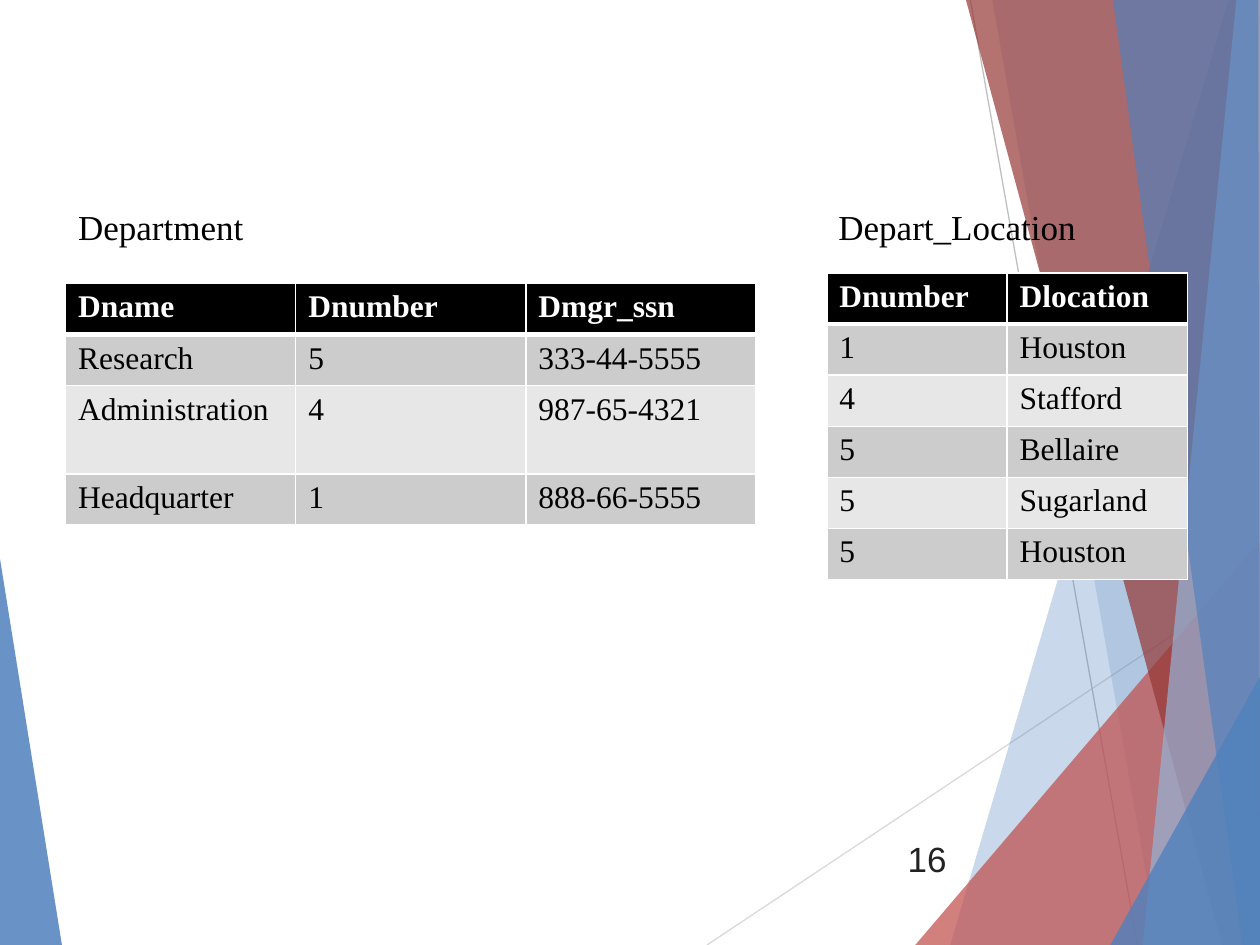
"""Build a slide with two department tables over a faceted backdrop."""
from dataclasses import dataclass

from lxml import etree
from pptx import Presentation
from pptx.dml.color import RGBColor
from pptx.enum import shapes, text
from pptx.oxml.ns import qn
from pptx.util import Pt


@dataclass(frozen=True)
class Theme:
    """Colours, fonts and type sizes of the slide."""
    blue: str = "4F81BD"
    pale_blue: str = "95B3D7"
    red: str = "C0504D"
    dark_red: str = "953735"
    light_line: str = "D9D9D9"
    mid_line: str = "BFBFBF"
    white: str = "FFFFFF"
    black: str = "000000"
    number: str = "222222"
    bands: tuple = ("CCCCCC", "E7E7E7")
    serif: str = "Times New Roman"
    sans: str = "Arial"
    label_size: int = 20
    cell_size: int = 18


THEME = Theme()
ROW_HEIGHT = 29.2

FACETS = [
    (THEME.blue, 30, [(702, 0), (543, 540), (721, 540), (721, 0)]),
    (THEME.blue, 20, [(567, 0), (662, 540), (721, 540), (721, 0)]),
    (THEME.red, 72, [(523, 540), (720, 309), (721, 540)]),
    (THEME.dark_red, 70, [(552, 0), (698.5, 540), (721, 540), (721, 0)]),
    (THEME.pale_blue, 70, [(706.5, 0), (653, 540), (721, 540), (720, 0)]),
    (THEME.blue, 65, [(636, 0), (710, 540), (720, 540), (719, 0)]),
    (THEME.blue, 80, [(634.5, 540), (721, 385), (721, 540)]),
]
DEPARTMENTS = [
    ("Dname", "Dnumber", "Dmgr_ssn"),
    ("Research", "5", "333-44-5555"),
    ("Administration", "4", "987-65-4321"),
    ("Headquarter", "1", "888-66-5555"),
]
LOCATIONS = [
    ("Dnumber", "Dlocation"),
    ("1", "Houston"),
    ("4", "Stafford"),
    ("5", "Bellaire"),
    ("5", "Sugarland"),
    ("5", "Houston"),
]


def style_text(paragraph, font, size, color, bold=False):
    """Format every run of a paragraph."""
    for run in paragraph.runs:
        run.font.name = font
        run.font.size = Pt(size)
        run.font.bold = bold
        run.font.color.rgb = RGBColor.from_string(color)


def add_facet(slide, color, opacity, corners):
    """Draw one translucent polygon of the backdrop."""
    points = [(Pt(x), Pt(y)) for x, y in corners]
    builder = slide.shapes.build_freeform(*points[0])
    builder.add_line_segments(points[1:], close=True)
    facet = builder.convert_to_shape()
    facet.shadow.inherit = False
    facet.line.fill.background()
    facet.fill.solid()
    facet.fill.fore_color.rgb = RGBColor.from_string(color)
    fill_color = facet._element.spPr.find(f"{qn('a:solidFill')}/{qn('a:srgbClr')}")
    etree.SubElement(fill_color, qn("a:alpha"), val=str(opacity * 1000))


def add_ray(slide, start, end, color):
    """Draw one thin straight line of the backdrop."""
    ray = slide.shapes.add_connector(
        shapes.MSO_CONNECTOR.STRAIGHT, *(Pt(v) for v in (*start, *end)))
    ray.line.color.rgb = RGBColor.from_string(color)
    ray.line.width = Pt(0.75)
    etree.SubElement(ray._element.spPr, qn("a:effectLst"))


def add_backdrop(slide):
    """Draw the facets and rays behind the content."""
    add_facet(slide, THEME.blue, 85, [(-0.5, 316), (35.5, 540.5), (-0.5, 540)])
    add_ray(slide, (404, 540), (721, 329), THEME.light_line)
    add_ray(slide, (554.5, 0), (650, 540), THEME.mid_line)
    for facet in FACETS:
        add_facet(slide, *facet)


def add_label(slide, wording, box, font, color, align=text.PP_ALIGN.LEFT,
              anchor=text.MSO_ANCHOR.TOP):
    """Add a single line of text."""
    frame = slide.shapes.add_textbox(*(Pt(v) for v in box)).text_frame
    frame.word_wrap = False
    frame.vertical_anchor = anchor
    frame.text = wording
    frame.paragraphs[0].alignment = align
    style_text(frame.paragraphs[0], font, THEME.label_size, color)


def add_borders(cell, row):
    """Give a cell white borders, heavier under the header row."""
    widths = {"L": 1, "R": 1, "T": 3 if row == 1 else 1, "B": 3 if row == 0 else 1}
    properties = cell._tc.get_or_add_tcPr()
    for side, width in widths.items():
        border = etree.SubElement(properties, qn(f"a:ln{side}"), w=str(Pt(width)))
        fill = etree.SubElement(border, qn("a:solidFill"))
        etree.SubElement(fill, qn("a:srgbClr"), val=THEME.white)


def add_records(slide, records, left, top, column_width, tall_rows=None):
    """Add a banded table with a black header row."""
    heights = [(tall_rows or {}).get(i, ROW_HEIGHT) for i in range(len(records))]
    columns = len(records[0])
    table = slide.shapes.add_table(
        len(records), columns, Pt(left), Pt(top),
        Pt(column_width * columns), Pt(sum(heights))).table
    for column in table.columns:
        column.width = Pt(column_width)
    for row, (record, height) in enumerate(zip(records, heights)):
        table.rows[row].height = Pt(height)
        header = row == 0
        for column, value in enumerate(record):
            cell = table.cell(row, column)
            cell.text = value
            style_text(cell.text_frame.paragraphs[0], THEME.serif, THEME.cell_size,
                       THEME.white if header else THEME.black, header)
            add_borders(cell, row)
            cell.fill.solid()
            cell.fill.fore_color.rgb = RGBColor.from_string(
                THEME.black if header else THEME.bands[(row - 1) % 2])


def main():
    """Build and save the presentation."""
    deck = Presentation()
    deck.slide_width, deck.slide_height = Pt(720), Pt(540)
    slide = deck.slides.add_slide(deck.slide_layouts[6])
    add_backdrop(slide)
    add_label(slide, "16", (507.5, 476, 40.5, 29), THEME.sans, THEME.number,
              text.PP_ALIGN.RIGHT, text.MSO_ANCHOR.MIDDLE)
    add_records(slide, DEPARTMENTS, 37.5, 162, 131.5, {2: 50.4})
    add_records(slide, LOCATIONS, 472.5, 156, 103)
    add_label(slide, "Depart_Location", (472, 114, 151, 31.5), THEME.serif, THEME.black)
    add_label(slide, "Department", (37.5, 114, 109.5, 31.5), THEME.serif, THEME.black)
    deck.save("out.pptx")


if __name__ == "__main__":
    main()
